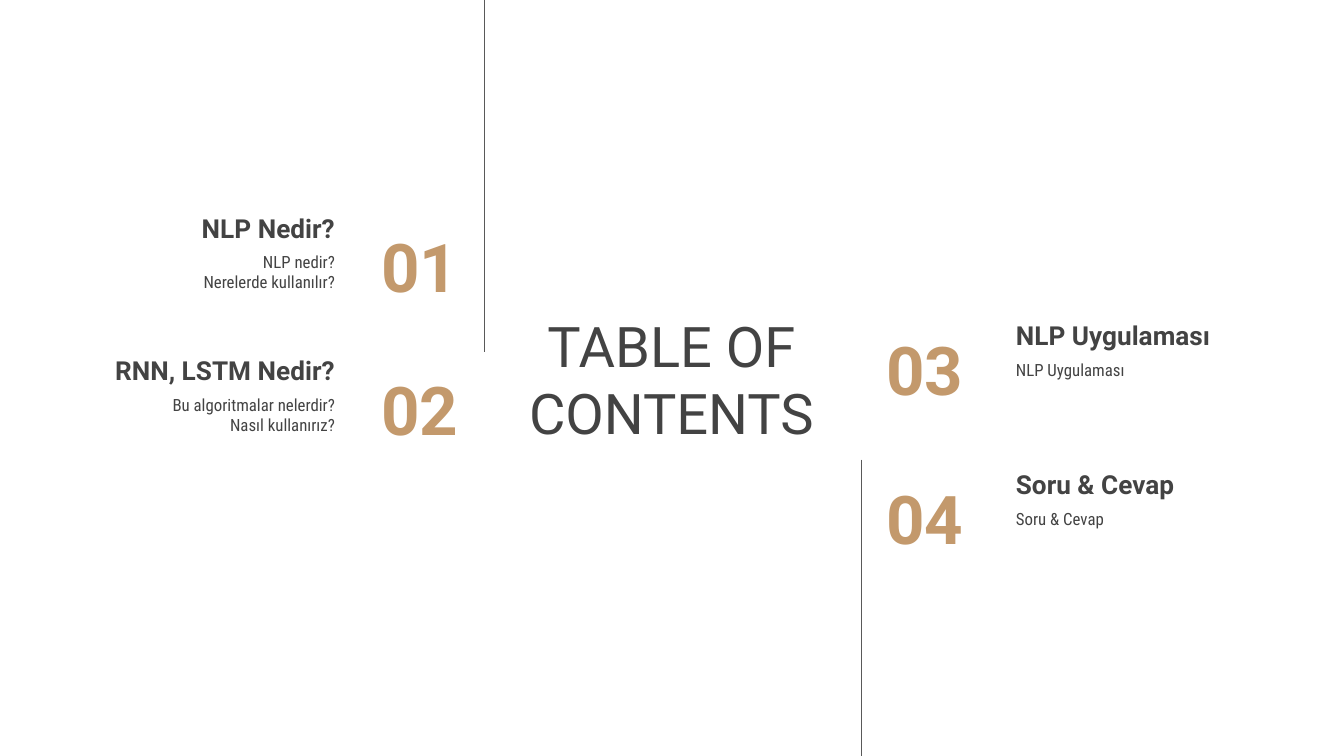
from copy import deepcopy

from lxml.etree import SubElement
from pptx import Presentation
from pptx.dml.color import RGBColor
from pptx.enum.shapes import MSO_CONNECTOR
from pptx.enum.text import MSO_ANCHOR, MSO_AUTO_SIZE, PP_ALIGN
from pptx.oxml.ns import qn
from pptx.util import Cm, Pt

INK = RGBColor(0x43, 0x43, 0x43)
GOLD = RGBColor(0xC3, 0x99, 0x6C)
GREY = RGBColor(0x59, 0x59, 0x59)
WIDE, HIGH = 25.4, 14.29
ROW = 1.6
DROP = 1.26


class Deck:
    """Draws the agenda slide in one style."""

    fonts = {
        "title": dict(name="Roboto", size=Pt(30), bold=False),
        "head": dict(name="Roboto", size=Pt(14), bold=True),
        "note": dict(name="Roboto Condensed", size=Pt(9), bold=False),
        "mark": dict(name="Roboto", size=Pt(36), bold=True),
    }
    anchors = {
        "title": MSO_ANCHOR.MIDDLE,
        "head": MSO_ANCHOR.BOTTOM,
        "note": MSO_ANCHOR.TOP,
        "mark": MSO_ANCHOR.MIDDLE,
    }

    def __init__(self):
        self.prs = Presentation()
        self.prs.slide_width, self.prs.slide_height = Cm(WIDE), Cm(HIGH)
        self.slide = self.prs.slides.add_slide(self.prs.slide_layouts[4])
        self.bodies = list(self.slide.placeholders)[1:]

    def fill(self, shape, text, kind, box, align):
        places = dict(zip(("left", "top", "width", "height"), map(Cm, box)))
        for key, value in places.items():
            setattr(shape, key, value)
        frame = shape.text_frame
        inset = Cm(0.25)
        form = dict(word_wrap=True, auto_size=MSO_AUTO_SIZE.NONE,
                    vertical_anchor=self.anchors[kind],
                    margin_left=inset, margin_right=inset,
                    margin_top=inset, margin_bottom=inset)
        for key, value in form.items():
            setattr(frame, key, value)
        frame.text = text
        para = frame.paragraphs[0]
        para.alignment, para.space_before = align, Pt(0)
        for run in para.runs:
            for key, value in self.fonts[kind].items():
                setattr(run.font, key, value)
            run.font.color.rgb = GOLD if kind == "mark" else INK
        for gap in para._p.findall(qn("a:br")):
            gap.insert(0, deepcopy(para.runs[0]._r.rPr))
        return para

    def title(self, text, box):
        self.fill(self.slide.shapes.title, text, "title", box, PP_ALIGN.CENTER)

    def label(self, text, kind, box, align):
        shape = self.slide.shapes.add_textbox(*map(Cm, box))
        self.fill(shape, text, kind, box, align)

    def note(self, text, box, align):
        para = self.fill(self.bodies.pop(0), text, "note", box, align)
        props = para._p.get_or_add_pPr()
        props.set("marL", "0")
        props.set("indent", "0")
        SubElement(props, qn("a:buNone"))

    def topic(self, mark, head, note, top, left, width, side):
        if side == "left":
            align, num, note_w, shift = PP_ALIGN.RIGHT, (5.84, 3.07), 4.9, 0.97
            note_x = left + width - note_w
        else:
            align, num, note_w, shift = PP_ALIGN.LEFT, (16.5, 2.97), 4.65, 0.89
            note_x = left
        self.label(head, "head", (left, top, width, ROW), align)
        self.note(note, (note_x, top + DROP, note_w, ROW), align)
        self.label(mark, "mark", (num[0], top + shift, num[1], ROW), align)

    def rule(self, x, top, end):
        line = self.slide.shapes.add_connector(
            MSO_CONNECTOR.STRAIGHT, Cm(x), Cm(top), Cm(x), Cm(end))
        line.line.color.rgb, line.line.width = GREY, Pt(0.75)
        SubElement(line._element.spPr, qn("a:effectLst"))

    def save(self):
        self.prs.save("out.pptx")


TOPICS = [
    ("01", "NLP Nedir?", "NLP nedir?\vNerelerde kullanılır?", 3.25, 1.09, 5.49, "left"),
    ("02", "RNN, LSTM Nedir?", "Bu algoritmalar nelerdir?\vNasıl kullanırız?",
     5.95, 0, 6.58, "left"),
    ("03", "NLP Uygulaması", "NLP Uygulaması", 5.28, 18.95, 5.49, "right"),
    ("04", "Soru & Cevap", "Soru & Cevap", 8.1, 18.95, 5.49, "right"),
]


def main():
    deck = Deck()
    deck.title("TABLE OF CONTENTS", (9.4, 5.84, 6.58, 2.62))
    for topic in TOPICS:
        deck.topic(*topic)
    deck.rule(9.16, 0, 6.65)
    deck.rule(16.28, 8.69, HIGH)
    deck.save()


if __name__ == "__main__":
    main()
